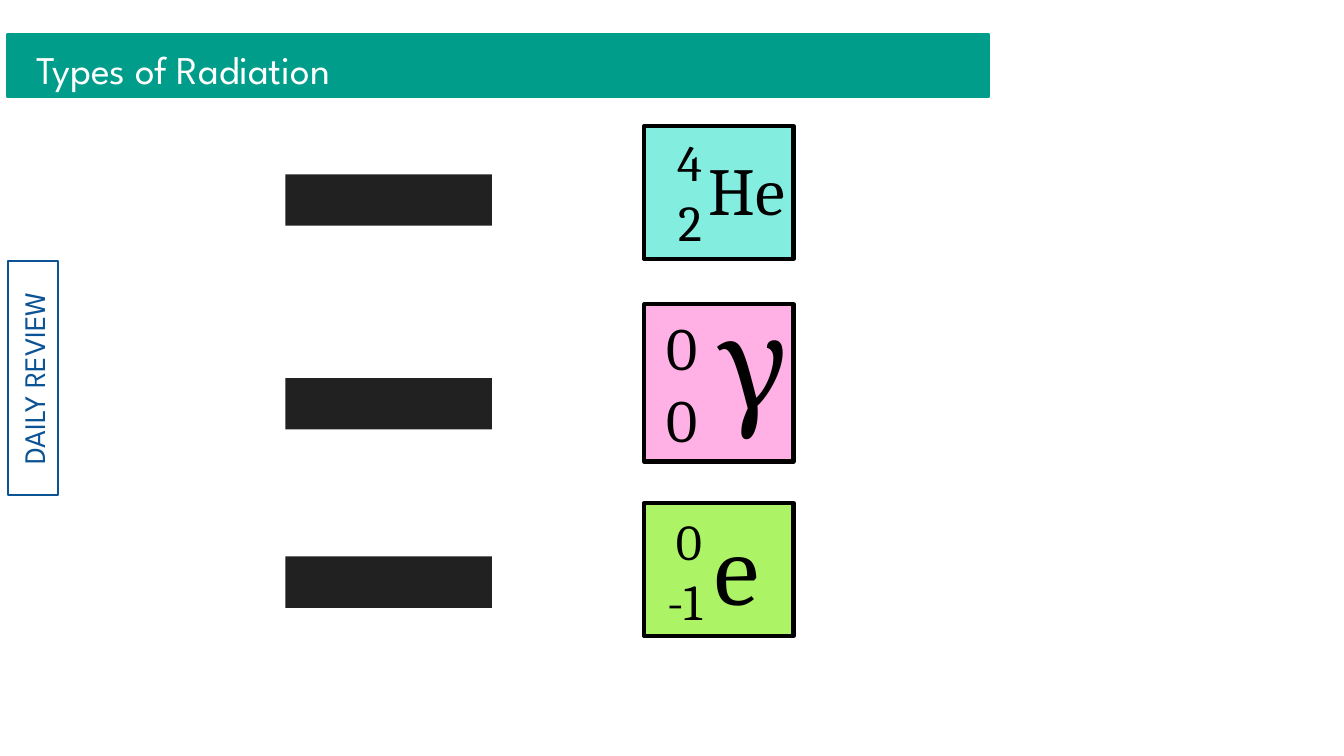
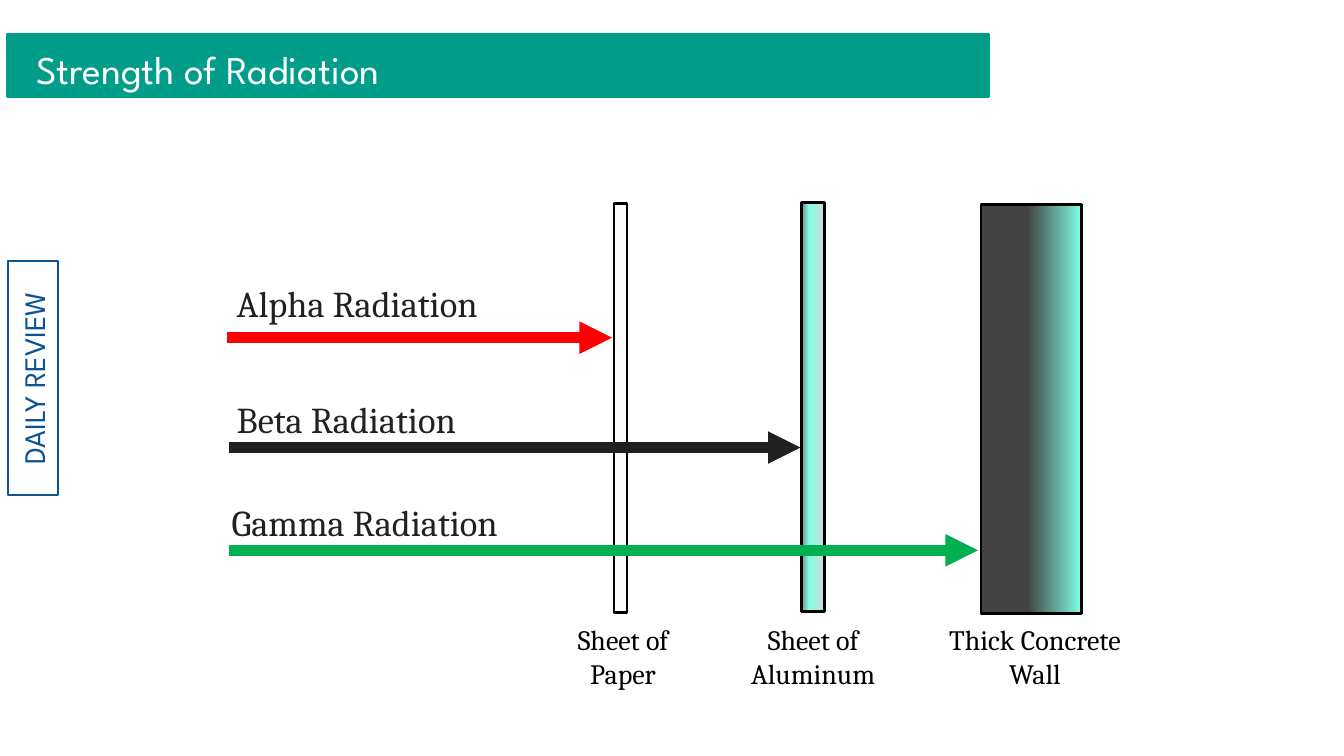
from typing import NamedTuple, Optional

from lxml import etree
from pptx import Presentation
from pptx.dml.color import RGBColor
from pptx.enum import dml, shapes, text
from pptx.oxml import ns
from pptx.util import Inches, Pt

WHITE = RGBColor(0xFF, 0xFF, 0xFF)
BLACK = RGBColor(0x00, 0x00, 0x00)
INK = RGBColor(0x21, 0x21, 0x21)
BLUE = RGBColor(0x0B, 0x53, 0x94)
TEAL = RGBColor(0x01, 0x9D, 0x8B)
CYAN = RGBColor(0x83, 0xEE, 0xDF)
PINK = RGBColor(0xFF, 0xB1, 0xE6)
LIME = RGBColor(0xAD, 0xF3, 0x66)
PAPER = RGBColor(0xFC, 0xFC, 0xFC)
MINT = RGBColor(0x7E, 0xFF, 0xE4)
GREY = RGBColor(0x80, 0x80, 0x80)
SILVER = RGBColor(0xD9, 0xD9, 0xD9)
STONE = RGBColor(0x43, 0x43, 0x43)
RED = RGBColor(0xFF, 0x00, 0x00)
GREEN = RGBColor(0x00, 0xB0, 0x50)
COAL = RGBColor(0x20, 0x20, 0x20)

SERIF = "Cambria"
SANS = "League Spartan"
LEFT = text.PP_ALIGN.LEFT
MID = text.PP_ALIGN.CENTER
RIGHT = text.PP_ALIGN.RIGHT


class Box(NamedTuple):
    x: float
    y: float
    w: float
    h: float


class Style(NamedTuple):
    size: float
    color: RGBColor = BLACK
    font: str = SERIF
    align: text.PP_ALIGN = MID


class Card(NamedTuple):
    top: float
    high: float
    fill: RGBColor
    bar: float
    sign: str
    sign_at: Box
    sign_size: float
    nums: tuple[str, str]
    num_at: Box
    num_size: float


class Wall(NamedTuple):
    name: str
    at: Box
    label: Box
    stops: tuple[tuple[int, RGBColor], ...]


class Ray(NamedTuple):
    name: str
    label: Box
    start: float
    end: float
    y: float
    color: RGBColor


CARDS = [
    Card(1.25, 1.32, CYAN, 1.73, "He", Box(6.82, 1.42, 1.18, 0.97), 48,
         ("4", "2"), Box(6.39, 1.25, 0.67, 1.22), 36),
    Card(3.02, 1.56, PINK, 3.75, "γ", Box(7.02, 2.76, 0.82, 1.58), 90,
         ("0", "0"), Box(6.39, 3.03, 0.63, 1.53), 43),
    Card(4.99, 1.32, LIME, 5.52, "e", Box(6.76, 4.96, 1.1, 1.26), 72,
         ("0", "-1"), Box(6.39, 5.01, 0.67, 1.22), 36),
]

WALLS = [
    Wall("Sheet of Paper", Box(6.09, 2.02, 0.13, 4.06),
         Box(5.55, 6.13, 1.26, 0.93), ()),
    Wall("Sheet of Aluminum", Box(7.95, 2.01, 0.23, 4.06),
         Box(7.25, 6.13, 1.63, 0.93), ((0, GREY), (32, MINT), (100, SILVER))),
    Wall("Thick Concrete Wall", Box(9.73, 2.03, 1, 4.06),
         Box(9.31, 6.13, 1.91, 0.93), ((46, STONE), (100, MINT))),
]

RAYS = [
    Ray("Alpha Radiation", Box(2.25, 2.74, 3.04, 0.55), 2.25, 6.07, 3.35, RED),
    Ray("Beta Radiation", Box(2.25, 3.89, 3.04, 0.55), 2.27, 7.94, 4.44, COAL),
    Ray("Gamma Radiation", Box(2.2, 4.91, 3.04, 0.55), 2.27, 9.7, 5.46, GREEN),
]


def place(box: Box) -> tuple:
    return tuple(Inches(v) for v in box)


def rect(slide, box: Box, fill: Optional[RGBColor] = None,
         line: Optional[RGBColor] = None, width: float = 2):
    shape = slide.shapes.add_shape(shapes.MSO_SHAPE.RECTANGLE, *place(box))
    shape.shadow.inherit = False
    if fill is None:
        shape.fill.background()
    else:
        shape.fill.solid()
        shape.fill.fore_color.rgb = fill
    if line is None:
        shape.line.fill.background()
    else:
        shape.line.color.rgb = line
        shape.line.width = Pt(width)
    return shape


def write(frame, lines: tuple[str, ...], style: Style) -> None:
    frame.word_wrap = True
    for i, line in enumerate(lines):
        para = frame.paragraphs[0] if i == 0 else frame.add_paragraph()
        para.alignment = style.align
        run = para.add_run()
        run.text = line
        run.font.size = Pt(style.size)
        run.font.name = style.font
        run.font.color.rgb = style.color


def label(slide, box: Box, lines: tuple[str, ...], style: Style):
    frame = slide.shapes.add_textbox(*place(box)).text_frame
    write(frame, lines, style)
    return frame


def blend(shape, stops: tuple[tuple[int, RGBColor], ...]) -> None:
    shape.fill.gradient()
    shape.fill.gradient_angle = 0
    group = next(shape._element.spPr.iter(ns.qn("a:gsLst")))
    for stop in list(group):
        group.remove(stop)
    for pos, color in stops:
        stop = etree.SubElement(group, ns.qn("a:gs"), pos=str(pos * 1000))
        etree.SubElement(stop, ns.qn("a:srgbClr"), val=str(color))


def arrow(slide, ray: Ray) -> None:
    y = Inches(ray.y)
    line = slide.shapes.add_connector(
        shapes.MSO_CONNECTOR.STRAIGHT, Inches(ray.start), y, Inches(ray.end), y)
    line.line.color.rgb = ray.color
    line.line.width = Pt(7.75)
    etree.SubElement(line.line._get_or_add_ln(), ns.qn("a:tailEnd"), type="triangle")
    etree.SubElement(line._element.spPr, ns.qn("a:effectLst"))


def start(deck, title: str):
    slide = deck.slides.add_slide(deck.slide_layouts[6])
    side = rect(slide, Box(-0.83, 3.5, 2.32, 0.5), line=BLUE, width=1.5)
    side.rotation = 270
    side.text_frame.vertical_anchor = text.MSO_ANCHOR.MIDDLE
    write(side.text_frame, ("DAILY REVIEW",), Style(21.3, BLUE, SANS))
    rect(slide, Box(0.07, 0.34, 9.74, 0.62), TEAL, TEAL)
    head = label(slide, Box(0.14, 0.39, 9.61, 0.51), (title,),
                 Style(28, WHITE, SANS, LEFT))
    head.margin_left = Inches(0.22)
    head.vertical_anchor = text.MSO_ANCHOR.MIDDLE
    head.paragraphs[0].line_spacing = 1.15
    return slide


def types(deck) -> None:
    slide = start(deck, "Types of Radiation")
    for card in CARDS:
        rect(slide, Box(2.83, card.bar, 2.05, 0.51), INK)
        rect(slide, Box(6.39, card.top, 1.48, card.high), card.fill, BLACK, 3)
        label(slide, card.sign_at, (card.sign,), Style(card.sign_size))
        label(slide, card.num_at, card.nums, Style(card.num_size, align=RIGHT))


def strength(deck) -> None:
    slide = start(deck, "Strength of Radiation")
    for wall in WALLS:
        shape = rect(slide, wall.at, line=BLACK)
        if wall.stops:
            blend(shape, wall.stops)
        else:
            shape.fill.patterned()
            shape.fill.pattern = dml.MSO_PATTERN.DARK_HORIZONTAL
            shape.fill.fore_color.rgb = PAPER
            shape.fill.back_color.rgb = WHITE
        label(slide, wall.label, (wall.name,), Style(20))
    for ray in RAYS:
        arrow(slide, ray)
        label(slide, ray.label, (ray.name,), Style(26, INK, align=LEFT))


def main() -> None:
    deck = Presentation()
    deck.slide_width = Inches(13.33)
    deck.slide_height = Inches(7.5)
    types(deck)
    strength(deck)
    deck.save("out.pptx")


if __name__ == "__main__":
    main()
